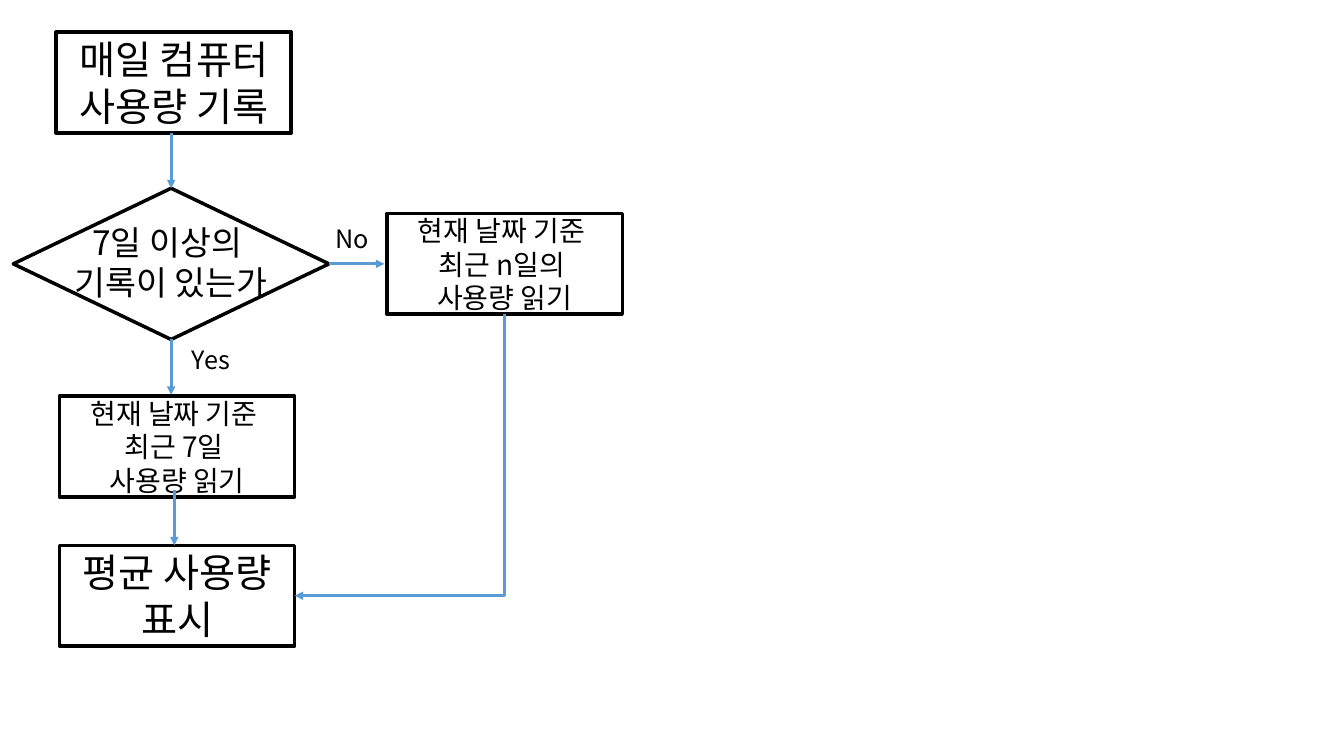
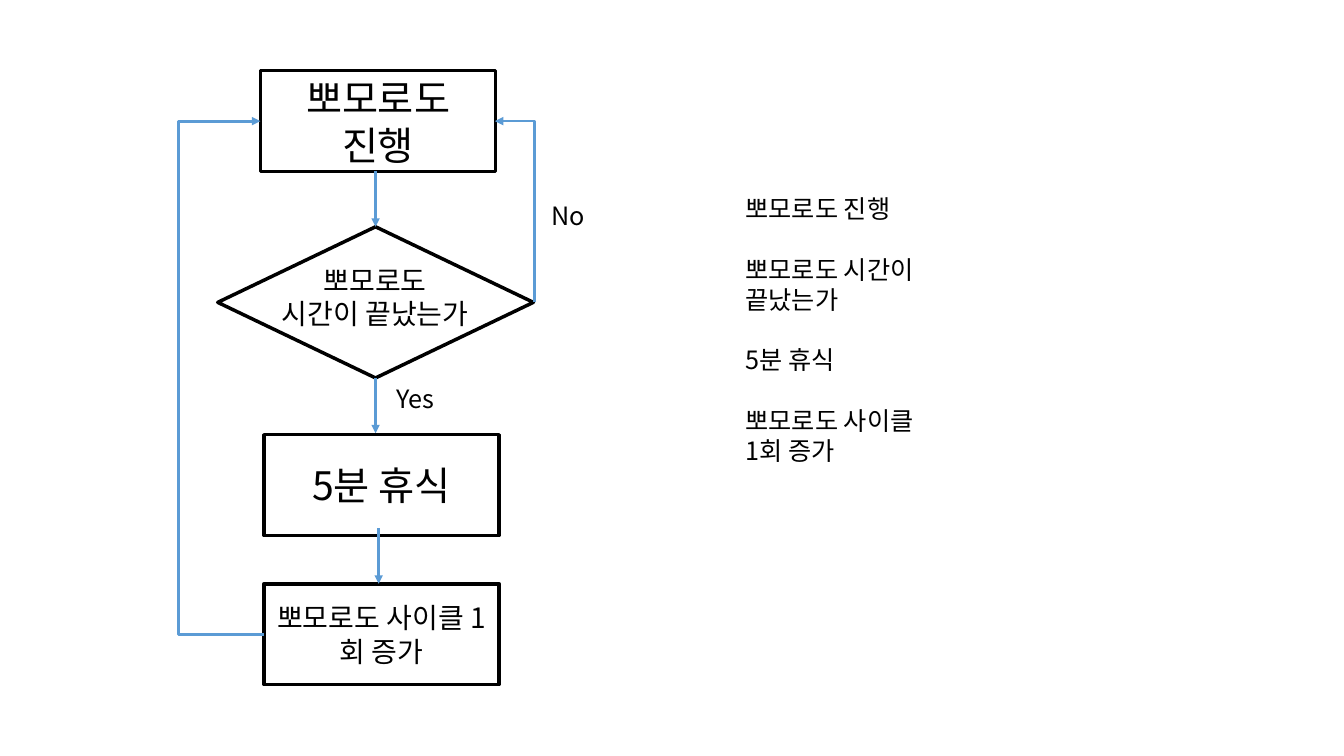
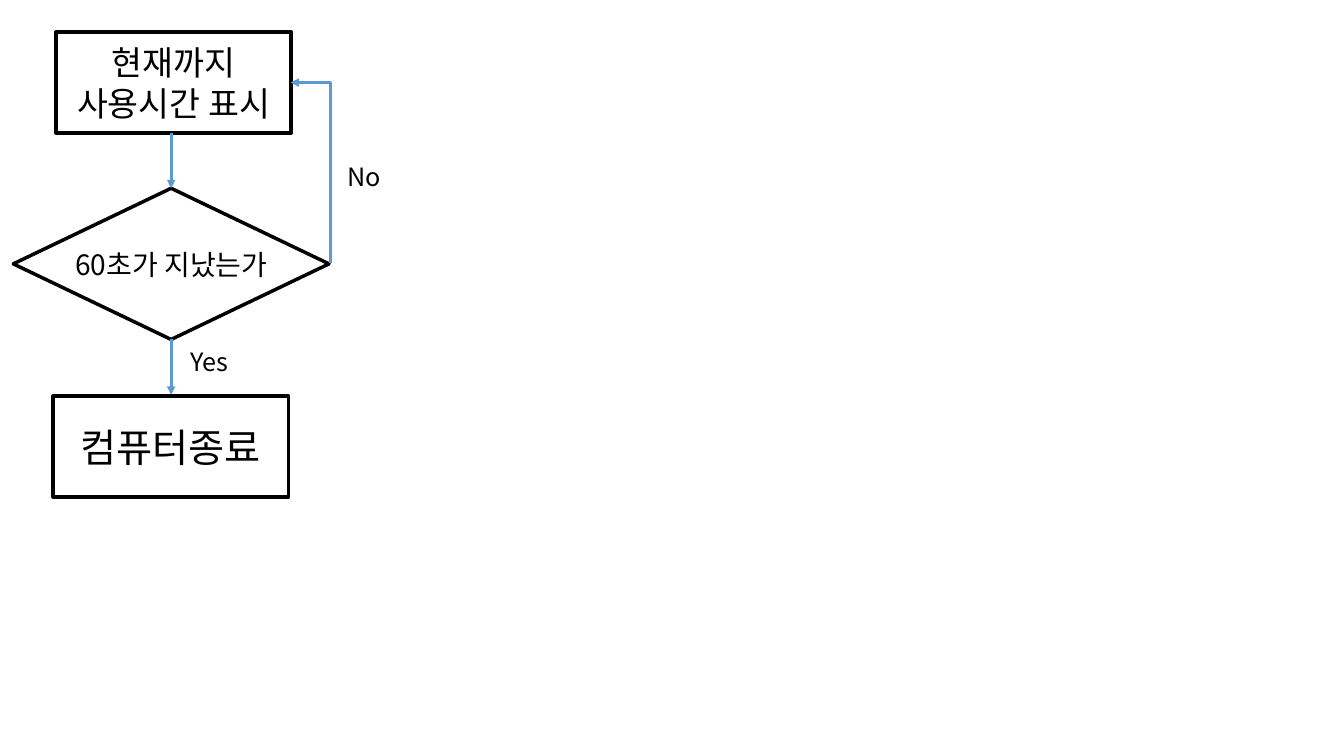
import dataclasses

import lxml.etree
import pptx
import pptx.dml.color
import pptx.enum.shapes
import pptx.enum.text
import pptx.oxml.ns
import pptx.util

Pt = pptx.util.Pt
qn = pptx.oxml.ns.qn
Shape = pptx.enum.shapes.MSO_SHAPE
Connector = pptx.enum.shapes.MSO_CONNECTOR
Align = pptx.enum.text.PP_ALIGN
Anchor = pptx.enum.text.MSO_ANCHOR
TOP, LEFT, BOTTOM, RIGHT = range(4)


@dataclasses.dataclass(frozen=True)
class Theme:
    font: str = "Noto Sans CJK KR"
    ink: str = "000000"
    paper: str = "FFFFFF"
    arrow: str = "5B9BD5"
    large: int = 28
    medium: int = 24
    small: int = 20
    label: int = 18
    border: float = 2.5
    arrow_width: float = 2


def color(value):
    return pptx.dml.color.RGBColor.from_string(value)


class Flowchart:
    """Draws on the current page; every position is relative to the chart's origin."""

    BOX_WIDTH, BOX_HEIGHT = 168, 72
    FIRST_BOX = (40, 23)
    THIRD_BOX = (42.5, 283)
    FOURTH_BOX = (42.5, 389.5)
    DIAMOND = (9.5, 134.5, 225.5, 108)
    AXIS = 122.25
    DIAMOND_MIDDLE = 188.5

    def __init__(self, theme):
        self.theme = theme
        self.deck = pptx.Presentation()
        self.deck.slide_width, self.deck.slide_height = Pt(960), Pt(540)

    def new_page(self, left=0, top=0):
        self.page = self.deck.slides.add_slide(self.deck.slide_layouts[6])
        self.left, self.top = left, top

    def place(self, left, top):
        return Pt(self.left + left), Pt(self.top + top)

    def set_lines(self, frame, lines, size, align, gap_before=()):
        """Make one paragraph per line; gap_before lists lines that start a new group."""
        frame.word_wrap = True
        for index, line in enumerate(lines):
            para = frame.add_paragraph() if index else frame.paragraphs[0]
            para.text = line
            para.alignment = align
            para.font.size = Pt(size)
            para.font.color.rgb = color(self.theme.ink)
            para.font.name = self.theme.font
            east_asian = lxml.etree.SubElement(para._p.pPr.find(qn("a:defRPr")), qn("a:ea"))
            east_asian.set("typeface", self.theme.font)
            if index in gap_before:
                para.space_before = Pt(21.7)

    def outline(self, kind, left, top, width, height):
        shape = self.page.shapes.add_shape(kind, *self.place(left, top), Pt(width), Pt(height))
        shape.shadow.inherit = False
        shape.fill.solid()
        shape.fill.fore_color.rgb = color(self.theme.paper)
        shape.line.color.rgb = color(self.theme.ink)
        shape.line.width = Pt(self.theme.border)
        return shape

    def box(self, position, lines, size):
        box = self.outline(Shape.RECTANGLE, *position, self.BOX_WIDTH, self.BOX_HEIGHT)
        box.text_frame.vertical_anchor = Anchor.MIDDLE
        self.set_lines(box.text_frame, lines, size, Align.CENTER)

    def text(self, left, top, width, height, lines, size, align=Align.LEFT, gap_before=()):
        box = self.page.shapes.add_textbox(*self.place(left, top), Pt(width), Pt(height))
        self.set_lines(box.text_frame, lines, size, align, gap_before)

    def connector(self, kind, start, end):
        line = self.page.shapes.add_connector(kind, *self.place(*start), *self.place(*end))
        line.line.color.rgb = color(self.theme.arrow)
        line.line.width = Pt(self.theme.arrow_width)
        properties = line._element.spPr
        lxml.etree.SubElement(properties.find(qn("a:ln")), qn("a:tailEnd")).set("type", "triangle")
        lxml.etree.SubElement(properties, qn("a:effectLst"))
        return line

    def arrow(self, start, end):
        return self.connector(Connector.STRAIGHT, start, end)

    def corner_arrow(self, start, end):
        """Go up or down from start, then left to end."""
        across, down = start[0] - end[0], abs(end[1] - start[1])
        middle_x, middle_y = (start[0] + end[0]) / 2, (start[1] + end[1]) / 2
        line = self.connector(
            Connector.ELBOW,
            (middle_x - down / 2, middle_y - across / 2),
            (middle_x + down / 2, middle_y + across / 2),
        )
        properties = line._element.spPr
        properties.find(qn("a:prstGeom")).set("prst", "bentConnector2")
        frame = properties.find(qn("a:xfrm"))
        rising = end[1] < start[1]
        frame.set("rot", str((270 if rising else 90) * 60000))
        if rising:
            frame.set("flipV", "1")

    def return_arrow(self, start, end, turn):
        """Go left from start to the turn, up, and right to end."""
        line = self.connector(Connector.ELBOW, end, start)
        properties = line._element.spPr
        properties.find(qn("a:xfrm")).set("rot", str(180 * 60000))
        geometry = properties.find(qn("a:prstGeom"))
        values = geometry.find(qn("a:avLst"))
        if values is None:
            values = lxml.etree.SubElement(geometry, qn("a:avLst"))
        guide = lxml.etree.SubElement(values, qn("a:gd"))
        ratio = (start[0] - turn) / (start[0] - end[0])
        guide.set("name", "adj1")
        guide.set("fmla", f"val {round(ratio * 100000)}")

    def decision(self, first, first_size, question, size, area, yes_at=(130, 242.5)):
        """First box, the question below it, and the Yes branch."""
        self.box(self.FIRST_BOX, first, first_size)
        diamond = self.outline(Shape.FLOWCHART_DECISION, *self.DIAMOND)
        self.text(*area, question, size, Align.CENTER)
        first_bottom = self.FIRST_BOX[1] + self.BOX_HEIGHT
        self.arrow((self.AXIS, first_bottom), (self.AXIS, 134.5)).end_connect(diamond, TOP)
        self.arrow((self.AXIS, 242.5), (self.AXIS, 282)).begin_connect(diamond, BOTTOM)
        self.text(*yes_at, 112, 51, ["Yes"], self.theme.label)
        return diamond

    def no_label(self, left, top):
        self.text(left, top, 79, 51, ["No"], self.theme.label)

    def no_loop(self):
        self.corner_arrow((236, 188), (207.5, 59))
        self.no_label(241, 112)

    def last_steps(self, third, third_size, fourth, fourth_size):
        self.box(self.THIRD_BOX, third, third_size)
        self.box(self.FOURTH_BOX, fourth, fourth_size)
        self.arrow((124.5, 350), (124.5, 389.5))


def usage_average(chart):
    theme = chart.theme
    chart.new_page()
    diamond = chart.decision(
        ["매일 컴퓨터", "사용량 기록"], theme.large,
        ["7일 이상의 ", "기록이 있는가"], theme.medium, (26, 155, 192, 65.5),
    )
    chart.last_steps(
        ["현재 날짜 기준 ", "최근 7일 ", "사용량 읽기"], theme.small,
        ["평균 사용량", "표시"], theme.large,
    )
    middle = chart.DIAMOND_MIDDLE
    chart.arrow((235, middle), (274.5, middle)).begin_connect(diamond, RIGHT)
    chart.no_label(232.5, 156)
    chart.box((276.5, 152.5), ["현재 날짜 기준 ", "최근 n일의 ", "사용량 읽기"], theme.small)
    chart.corner_arrow((360.5, 224.5), (210.5, 425.5))


def pomodoro(chart):
    theme = chart.theme
    chart.new_page(146, 27.5)
    chart.text(
        379.5, 107, 171.5, 204,
        ["뽀모로도 진행", "뽀모로도 시간이", "끝났는가", "5분 휴식", "뽀모로도 사이클", "1회 증가"],
        theme.label, gap_before=(1, 3, 4),
    )
    chart.decision(
        ["뽀모로도", "진행"], theme.large,
        ["뽀모로도", "시간이 끝났는가"], theme.small, (26, 157, 192, 55.5),
    )
    chart.no_loop()
    chart.last_steps(["5분 휴식"], theme.large, ["뽀모로도 사이클 1회 증가"], theme.small)
    chart.return_arrow((42.5, 425.5), (40, 59), -18.5)


def shutdown(chart):
    theme = chart.theme
    chart.new_page()
    chart.decision(
        ["현재까지", "사용시간 표시"], theme.medium,
        ["60초가 지났는가"], theme.small, (22.5, 173, 200, 31.5), yes_at=(129, 244),
    )
    chart.no_loop()
    chart.box((38, 283), ["컴퓨터종료"], theme.large)


def main():
    chart = Flowchart(Theme())
    for draw in (usage_average, pomodoro, shutdown):
        draw(chart)
    chart.deck.save("out.pptx")


if __name__ == "__main__":
    main()
